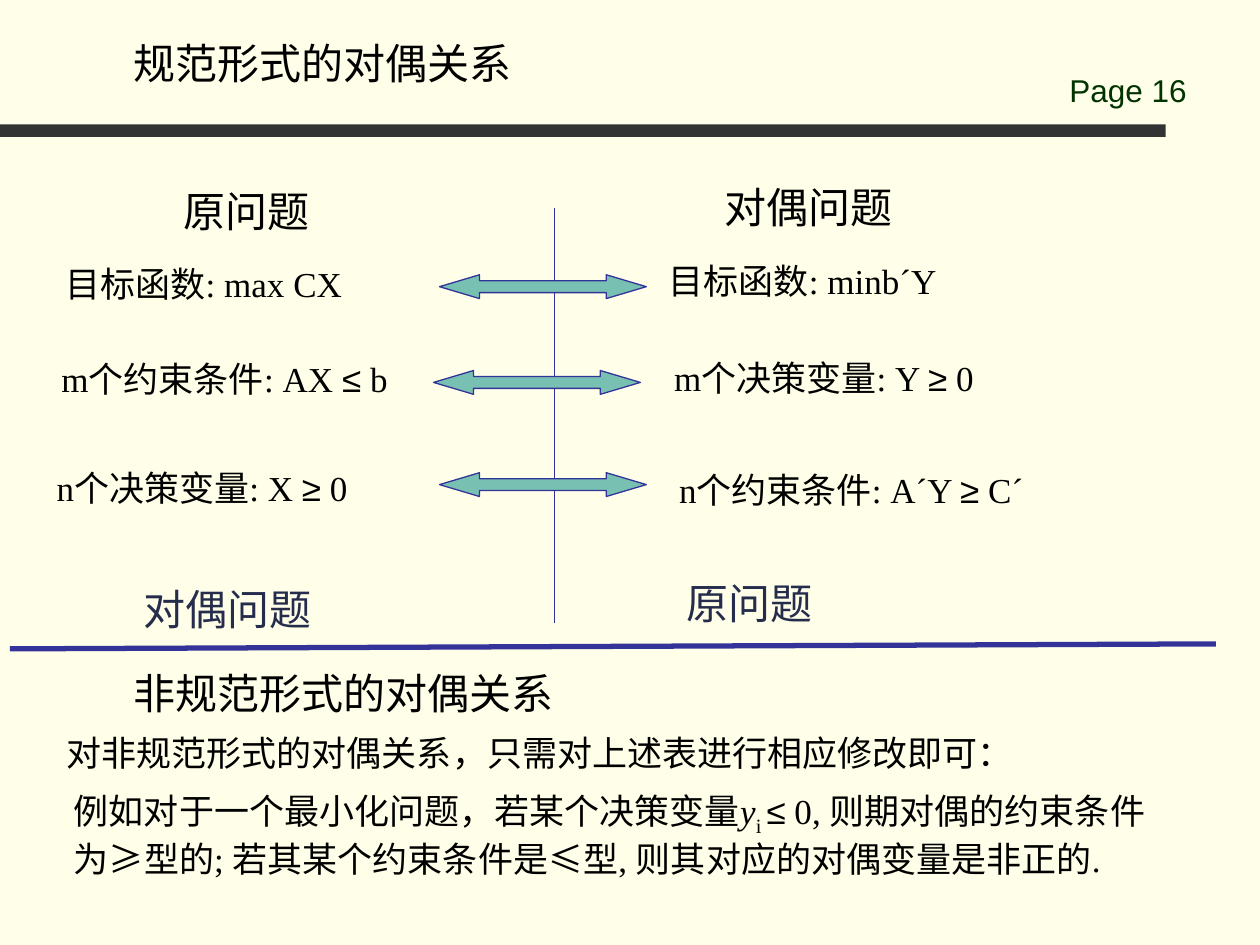
import pptx
import pptx.dml.color
import pptx.enum.shapes
import pptx.enum.text
import pptx.oxml.ns
import pptx.util
from lxml import etree

Cm = pptx.util.Cm
Pt = pptx.util.Pt
SHAPE = pptx.enum.shapes.MSO_SHAPE
HUES = {
    "paper": "FFFFE9", "bar": "333333", "page": "003300", "ink": "000000",
    "role": "262D4C", "line": "333399", "arrow": "78C0B2",
}


def shade(name):
    return pptx.dml.color.RGBColor.from_string(HUES[name])


class Board:
    """Holds the text style and the slide being drawn."""
    sans, serif = "Arial", "Times New Roman"

    def __init__(self, deck):
        self.slide = deck.slides.add_slide(deck.slide_layouts[6])
        self.shapes = self.slide.shapes
        fill = self.slide.background.fill
        fill.solid()
        fill.fore_color.rgb = shade("paper")

    def text(self, words, left, top, width, height=1.12, size=20,
             face=serif, hue="ink"):
        """Add a text box, one run for each of the words; signs are in Arial."""
        box = self.shapes.add_textbox(Cm(left), Cm(top), Cm(width), Cm(height))
        frame = box.text_frame
        frame.word_wrap = True
        frame.auto_size = pptx.enum.text.MSO_AUTO_SIZE.SHAPE_TO_FIT_TEXT
        para = frame.paragraphs[0]
        for word in words:
            run = para.add_run()
            run.text = word
            run.font.name = self.sans if word in ("≤", "≥") else face
            run.font.size = Pt(size)
            run.font.color.rgb = shade(hue)
        return para.runs

    def head(self, word, left, top, width=6.71, **style):
        self.text([word], left, top, width, 1.27, 24, **style)

    def block(self, kind, left, top, width, height, hue, edge=None):
        shape = self.shapes.add_shape(
            kind, Cm(left), Cm(top), Cm(width), Cm(height))
        shape.shadow.inherit = False
        shape.fill.solid()
        shape.fill.fore_color.rgb = shade(hue)
        if edge:
            shape.line.color.rgb = shade(edge)
            shape.line.width = Pt(0.75)
        else:
            shape.line.fill.background()
        return shape

    def arrow(self, left, top):
        shape = self.block(SHAPE.LEFT_RIGHT_ARROW, left, top, 4.17, 0.48,
                           "arrow", "line")
        shape.adjustments[0] = 0.5
        shape.adjustments[1] = 1.68

    def line(self, x1, y1, x2, y2, width):
        line = self.shapes.add_connector(
            pptx.enum.shapes.MSO_CONNECTOR.STRAIGHT,
            Cm(x1), Cm(y1), Cm(x2), Cm(y2))
        line.line.color.rgb = shade("line")
        line.line.width = Pt(width)
        etree.SubElement(line._element.spPr, pptx.oxml.ns.qn("a:effectLst"))


def main():
    deck = pptx.Presentation()
    deck.slide_width, deck.slide_height = Cm(25.4), Cm(19.05)
    board = Board(deck)

    board.block(SHAPE.RECTANGLE, 0, 2.51, 23.5, 0.25, "bar")
    board.text(["Page 16"], 21.31, 1.3, 3.61, 1.02, 18, board.sans, "page")
    board.head("规范形式的对偶关系", 2.44, 0.64, 17.17, face=board.sans)

    board.line(11.18, 4.19, 11.18, 12.55, 0.75)
    board.head("原问题", 3.45, 3.61)
    board.head("对偶问题", 14.35, 3.53)

    pairs = [
        (["目标函数: max CX"], 1.07, 5.16),
        (["目标函数: minb´Y"], 13.23, 5.11),
        (["m个约束条件: AX ", "≤", " b"], 0.99, 7.09),
        (["m个决策变量: Y ", "≥", " 0"], 13.34, 7.06),
        (["n个决策变量: X ", "≥", " 0"], 0.89, 9.27),
        (["n个约束条件: A´Y ", "≥", " C´"], 13.44, 9.32),
    ]
    for words, left, top in pairs:
        board.text(words, left, top, 10.08)
    for left, top in [(8.86, 5.54), (8.74, 7.47), (8.86, 9.53)]:
        board.arrow(left, top)

    board.head("原问题", 13.59, 11.51, hue="role")
    board.head("对偶问题", 2.64, 11.63, hue="role")
    board.line(0.2, 13.08, 24.51, 12.98, 3)

    board.head("非规范形式的对偶关系", 2.44, 13.34, 17.17, face=board.sans)
    board.text(["对非规范形式的对偶关系，只需对上述表进行相应修改即可："],
               1.09, 14.63, 23.24)
    runs = board.text(
        ["例如对于一个最小化问题，若某个决策变量", "y", "i ", "≤",
         " 0, 则期对偶的约束条件为", "≥", "型的; 若其某个约束条件是", "≤",
         "型, 则其对应的对偶变量是非正的."],
        1.24, 15.8, 22.53, 2.08)
    runs[1].font.italic = True
    runs[2].font._element.set("baseline", "-25000")

    deck.save("out.pptx")


if __name__ == "__main__":
    main()
